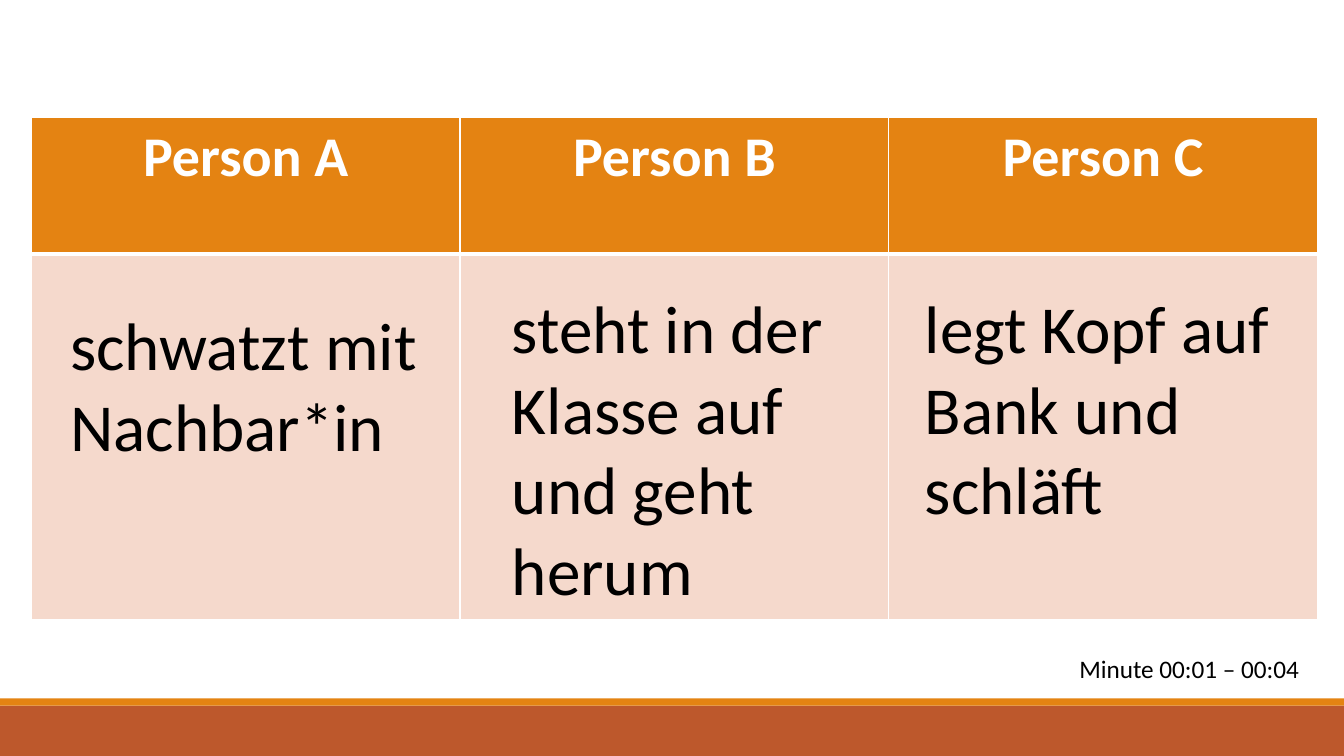
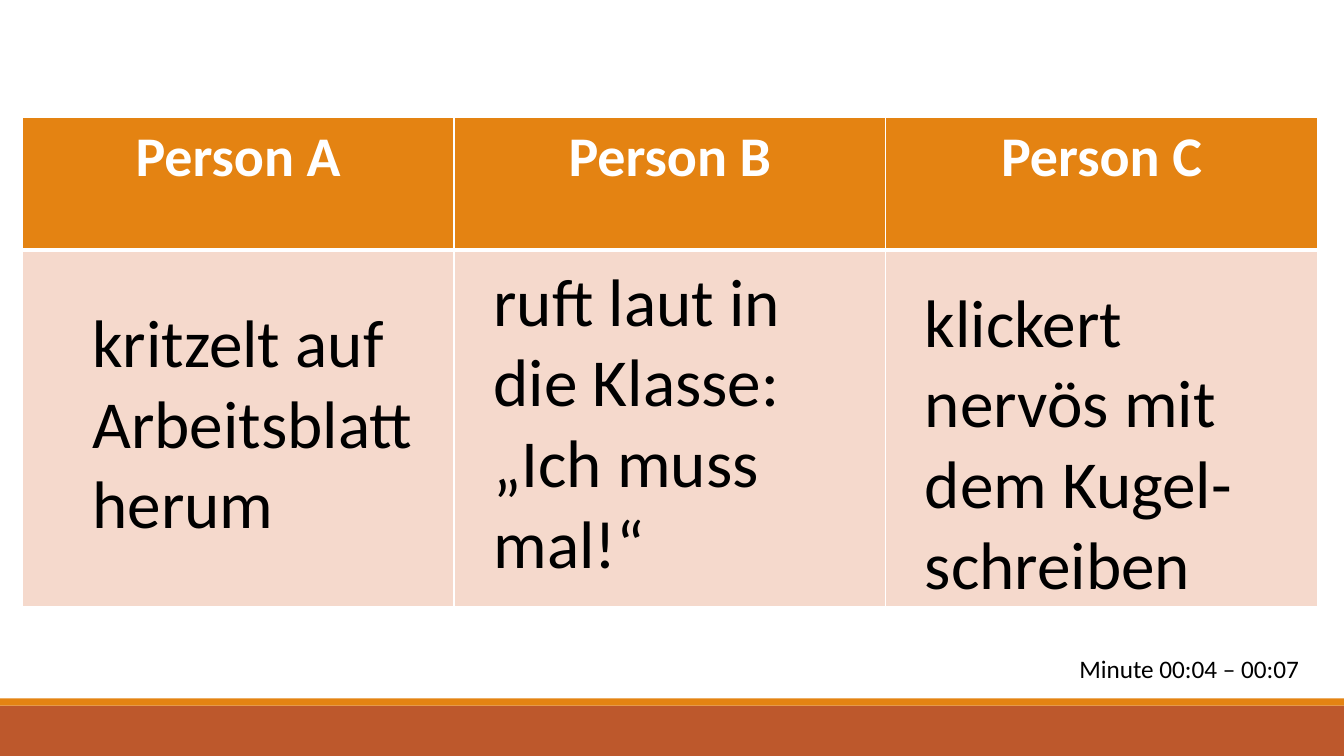
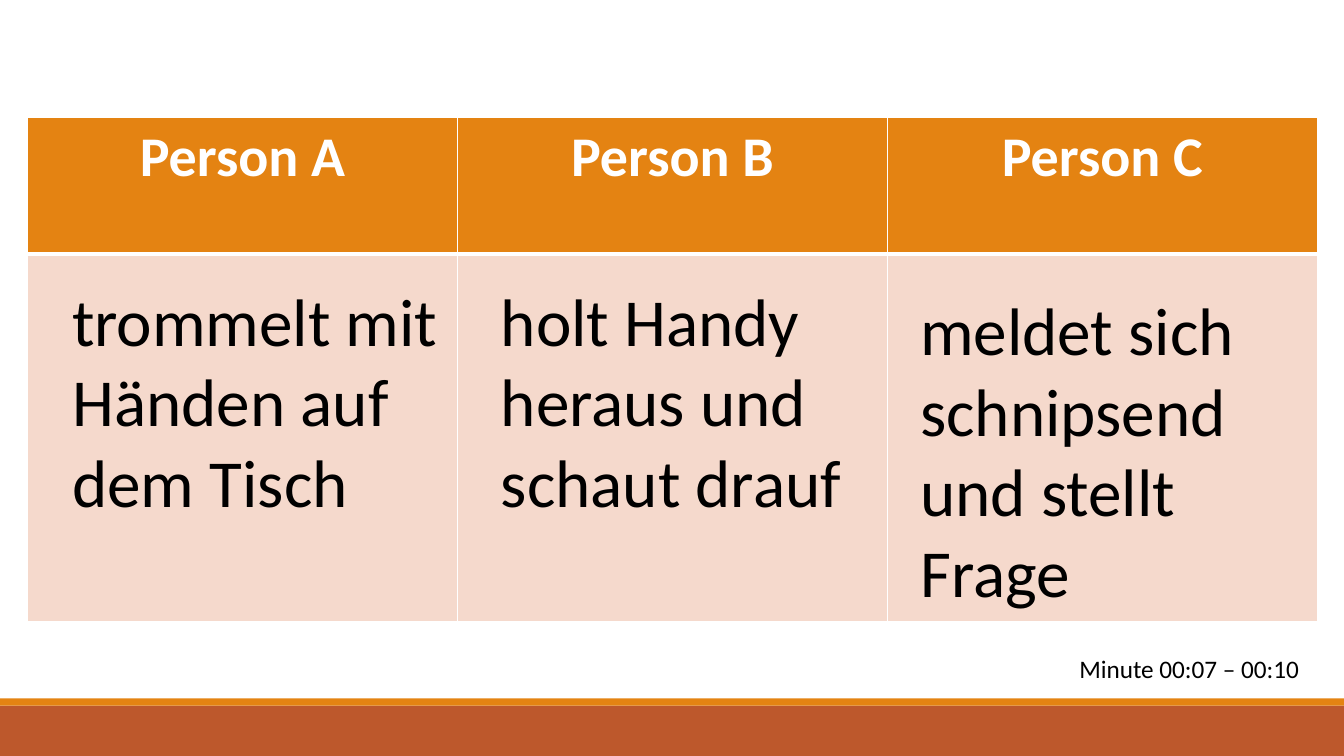
from lxml import etree
from pptx import Presentation
from pptx.dml.color import RGBColor
from pptx.enum.shapes import MSO_SHAPE
from pptx.enum.text import MSO_AUTO_SIZE, PP_ALIGN
from pptx.oxml.ns import qn
from pptx.util import Cm, Pt

RECTANGLE = MSO_SHAPE.RECTANGLE
GROW = MSO_AUTO_SIZE.SHAPE_TO_FIT_TEXT
LEFT, CENTER = PP_ALIGN.LEFT, PP_ALIGN.CENTER

FONT = "Calibri"
COLORS = {
    "orange": "E48312",
    "rust": "BD582C",
    "blush": "F5D9CC",
    "white": "FFFFFF",
    "black": "000000",
}
PAGE_WIDTH, PAGE_HEIGHT = 33.87, 19.05
TABLE_TOP, TABLE_RIGHT = 2.97, 33.2
HEADINGS = ["Person A", "Person B", "Person C"]

# Each action is (left, top, width, height, paragraphs), in centimetres.
SCENES = [
    {
        "minutes": "Minute 00:01 – 00:04",
        "table_left": 0.79,
        "rows": (3.43, 9.22),
        "actions": [
            (1.52, 7.52, 9.32, 4.37, ["schwatzt mit Nachbar*in"]),
            (12.65, 7.09, 9.65, 8.46, ["steht in der Klasse auf und geht herum"]),
            (23.06, 7.09, 9.32, 6.4, ["legt Kopf auf Bank und schläft"]),
        ],
    },
    {
        "minutes": "Minute 00:04 – 00:07",
        "table_left": 0.56,
        "rows": (3.33, 8.99),
        "actions": [
            (2.08, 7.44, 9.32, 6.4, ["kritzelt auf Arbeitsblatt herum"]),
            (12.19, 6.4, 8.05, 8.46, ["ruft laut in die Klasse:", "„Ich muss mal!“"]),
            (23.06, 6.93, 10.26, 8.46, ["klickert nervös mit dem Kugel-schreiben"]),
        ],
    },
    {
        "minutes": "Minute 00:07 – 00:10",
        "table_left": 0.69,
        "rows": (3.43, 9.27),
        "actions": [
            (1.57, 6.91, 9.88, 7.19, ["trommelt mit Händen auf dem Tisch"]),
            (12.37, 6.91, 9.65, 6.4, ["holt Handy heraus und schaut drauf"]),
            (22.94, 7.14, 10.26, 9.25, ["meldet sich schnipsend und stellt Frage"]),
        ],
    },
]


def rgb(name):
    return RGBColor.from_string(COLORS[name])


def write(frame, paragraphs, size=18, color="black", bold=False, align=LEFT):
    for index, text in enumerate(paragraphs):
        para = frame.paragraphs[0] if index == 0 else frame.add_paragraph()
        para.alignment = align
        span = para.add_run()
        span.text = text
        span.font.name = FONT
        span.font.size = Pt(size)
        span.font.bold = bold
        span.font.color.rgb = rgb(color)


def add_borders(cell, top=1, bottom=1):
    """Draw white cell borders; widths are in points."""
    properties = cell._tc.get_or_add_tcPr()
    for side, width in (("L", 1), ("R", 1), ("T", top), ("B", bottom)):
        line = etree.SubElement(properties, qn(f"a:ln{side}"), w=str(Pt(width)))
        fill = etree.SubElement(line, qn("a:solidFill"))
        etree.SubElement(fill, qn("a:srgbClr"), val=COLORS["white"])


class Deck:
    def __init__(self):
        self.file = Presentation()
        self.file.slide_width = Cm(PAGE_WIDTH)
        self.file.slide_height = Cm(PAGE_HEIGHT)
        self.page = None

    def add_page(self):
        self.page = self.file.slides.add_slide(self.file.slide_layouts[6])
        self.add_band(17.78, 1.27, "rust")
        self.add_band(17.6, 0.18, "orange")

    def add_band(self, top, height, color):
        band = self.page.shapes.add_shape(
            RECTANGLE, 0, Cm(top), Cm(PAGE_WIDTH), Cm(height))
        band.shadow.inherit = False
        band.fill.solid()
        band.fill.fore_color.rgb = rgb(color)
        band.line.fill.background()

    def add_person_table(self, left, row_heights):
        width = TABLE_RIGHT - left
        table = self.page.shapes.add_table(
            2, len(HEADINGS), Cm(left), Cm(TABLE_TOP),
            Cm(width), Cm(sum(row_heights))).table
        table.horz_banding = False
        for row, height in zip(table.rows, row_heights):
            row.height = Cm(height)
        for index, heading in enumerate(HEADINGS):
            table.columns[index].width = Cm(width / len(HEADINGS))
            header, body = table.cell(0, index), table.cell(1, index)
            add_borders(header, bottom=3)
            add_borders(body, top=3)
            for cell, color in ((header, "orange"), (body, "blush")):
                cell.fill.solid()
                cell.fill.fore_color.rgb = rgb(color)
            write(header.text_frame, [heading], size=40, color="white",
                  bold=True, align=CENTER)

    def add_text(self, left, top, width, height, paragraphs, **style):
        box = self.page.shapes.add_textbox(
            Cm(left), Cm(top), Cm(width), Cm(height))
        box.text_frame.word_wrap = True
        box.text_frame.auto_size = GROW
        write(box.text_frame, paragraphs, **style)


def main():
    deck = Deck()
    for scene in SCENES:
        deck.add_page()
        deck.add_person_table(scene["table_left"], scene["rows"])
        deck.add_text(26.95, 16.33, 6.25, 1.8, [scene["minutes"]])
        for action in scene["actions"]:
            deck.add_text(*action, size=48)
    deck.file.save("out.pptx")


if __name__ == "__main__":
    main()
